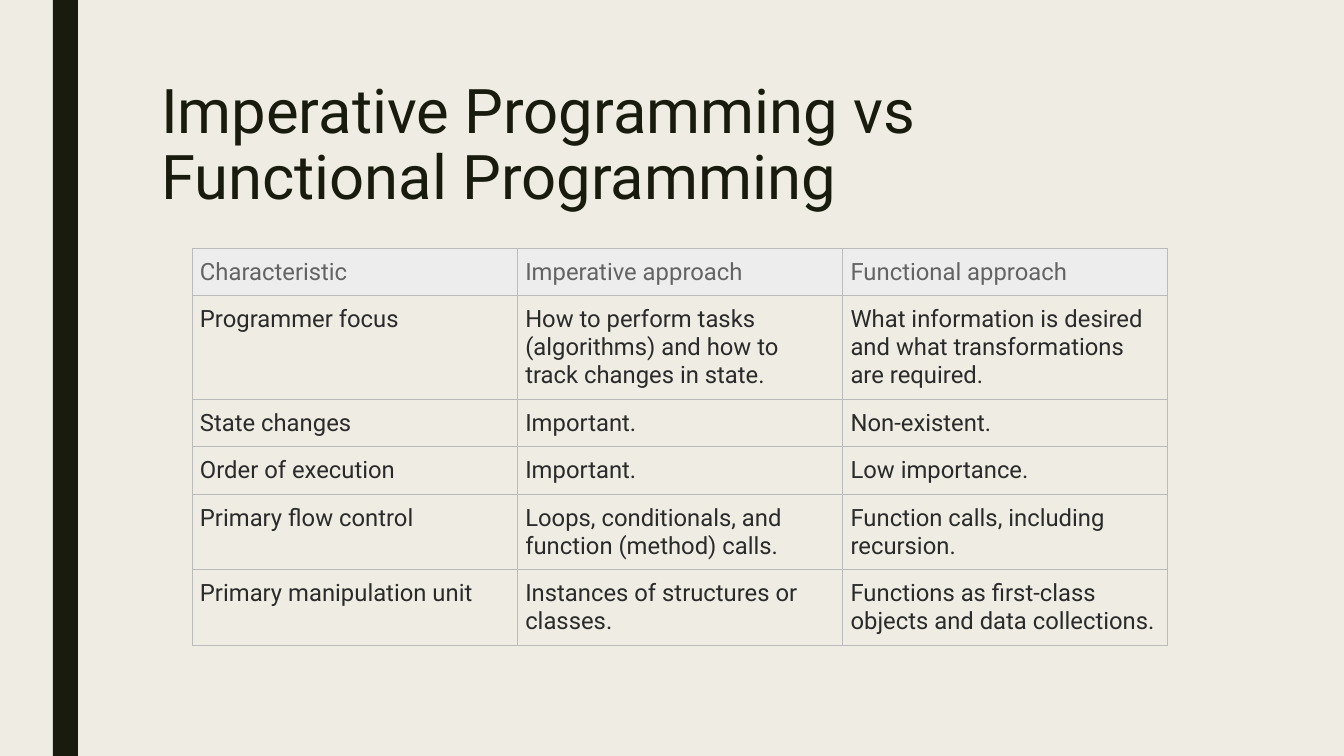
from lxml.etree import SubElement
from pptx import Presentation
from pptx.dml.color import RGBColor
from pptx.enum.shapes import MSO_SHAPE
from pptx.enum.text import MSO_ANCHOR, MSO_AUTO_SIZE, PP_ALIGN
from pptx.oxml.ns import qn
from pptx.util import Pt

EMU_PER_PX = 914400 / 100.8
SLIDE_WIDTH, SLIDE_HEIGHT = 1344, 756
FONT = "Roboto"
DARK = "191B0E"
TITLE = "Imperative Programming vs Functional Programming"
COMPARISON = [
    ("Characteristic", "Imperative approach", "Functional approach"),
    ("Programmer focus",
     "How to perform tasks (algorithms) and how to track changes in state.",
     "What information is desired and what transformations are required."),
    ("State changes", "Important.", "Non-existent."),
    ("Order of execution", "Important.", "Low importance."),
    ("Primary flow control",
     "Loops, conditionals, and function (method) calls.",
     "Function calls, including recursion."),
    ("Primary manipulation unit",
     "Instances of structures or classes.",
     "Functions as first-class objects and data collections."),
]
ROW_HEIGHTS = [47, 104, 47, 48, 75, 76]


def px(length):
    return round(length * EMU_PER_PX)


def color(hex_value):
    return RGBColor.from_string(hex_value)


def apply_format(target, values):
    for name, value in values.items():
        setattr(target, name, value)


def place(element, left, top, width, height):
    apply_format(element, {"left": px(left), "top": px(top),
                           "width": px(width), "height": px(height)})


def fill_solid(element, hex_value):
    element.fill.solid()
    element.fill.fore_color.rgb = color(hex_value)


def write(frame, text, size, hex_value, line_spacing=None):
    paragraph = frame.paragraphs[0]
    apply_format(paragraph, {"alignment": PP_ALIGN.LEFT, "line_spacing": line_spacing})
    run = paragraph.add_run()
    run.text = text
    apply_format(run.font, {"name": FONT, "size": Pt(size), "bold": False})
    run.font.color.rgb = color(hex_value)


def add_side_bar(slide):
    side_bar = slide.shapes.add_shape(
        MSO_SHAPE.RECTANGLE, px(53), 0, px(25), px(SLIDE_HEIGHT))
    side_bar.shadow.inherit = False
    fill_solid(side_bar, DARK)
    side_bar.line.fill.background()


def add_title(slide):
    heading = slide.shapes.title
    place(heading, 151, 76, 1058, 163)
    frame = heading.text_frame
    apply_format(frame, {
        "word_wrap": True, "auto_size": MSO_AUTO_SIZE.NONE,
        "vertical_anchor": MSO_ANCHOR.TOP,
        "margin_left": px(10), "margin_right": px(10),
        "margin_top": px(5), "margin_bottom": px(5)})
    write(frame, TITLE, 44, DARK, 0.89)


def add_borders(cell, hex_value, width):
    properties = cell._tc.get_or_add_tcPr()
    for position, side in enumerate(("a:lnL", "a:lnR", "a:lnT", "a:lnB")):
        border = SubElement(properties, qn(side), w=str(Pt(width)))
        solid = SubElement(border, qn("a:solidFill"))
        SubElement(solid, qn("a:srgbClr"), val=hex_value)
        properties.insert(position, border)


def format_cell(cell, text, is_header):
    apply_format(cell, {
        "margin_left": px(8), "margin_right": px(8),
        "margin_top": px(10), "margin_bottom": px(9),
        "vertical_anchor": MSO_ANCHOR.MIDDLE if is_header else MSO_ANCHOR.TOP})
    if is_header:
        fill_solid(cell, "EDEDED")
    else:
        cell.fill.background()
    add_borders(cell, "BBBBBB", 0.75)
    write(cell.text_frame, text, 17, "636363" if is_header else "2A2A2A")


def add_comparison(slide):
    table = slide.shapes.add_table(
        len(COMPARISON), len(COMPARISON[0]),
        px(192), px(248), px(976), px(sum(ROW_HEIGHTS))).table
    apply_format(table, {"first_row": False, "horz_banding": False})
    for row, height in zip(table.rows, ROW_HEIGHTS):
        row.height = px(height)
    for row_index, texts in enumerate(COMPARISON):
        for column_index, text in enumerate(texts):
            format_cell(table.cell(row_index, column_index), text, row_index == 0)


def main():
    presentation = Presentation()
    apply_format(presentation, {"slide_width": px(SLIDE_WIDTH),
                                "slide_height": px(SLIDE_HEIGHT)})
    slide = presentation.slides.add_slide(presentation.slide_layouts[5])
    fill_solid(slide.background, "EFEDE3")
    add_side_bar(slide)
    add_title(slide)
    add_comparison(slide)
    presentation.save("out.pptx")


if __name__ == "__main__":
    main()
